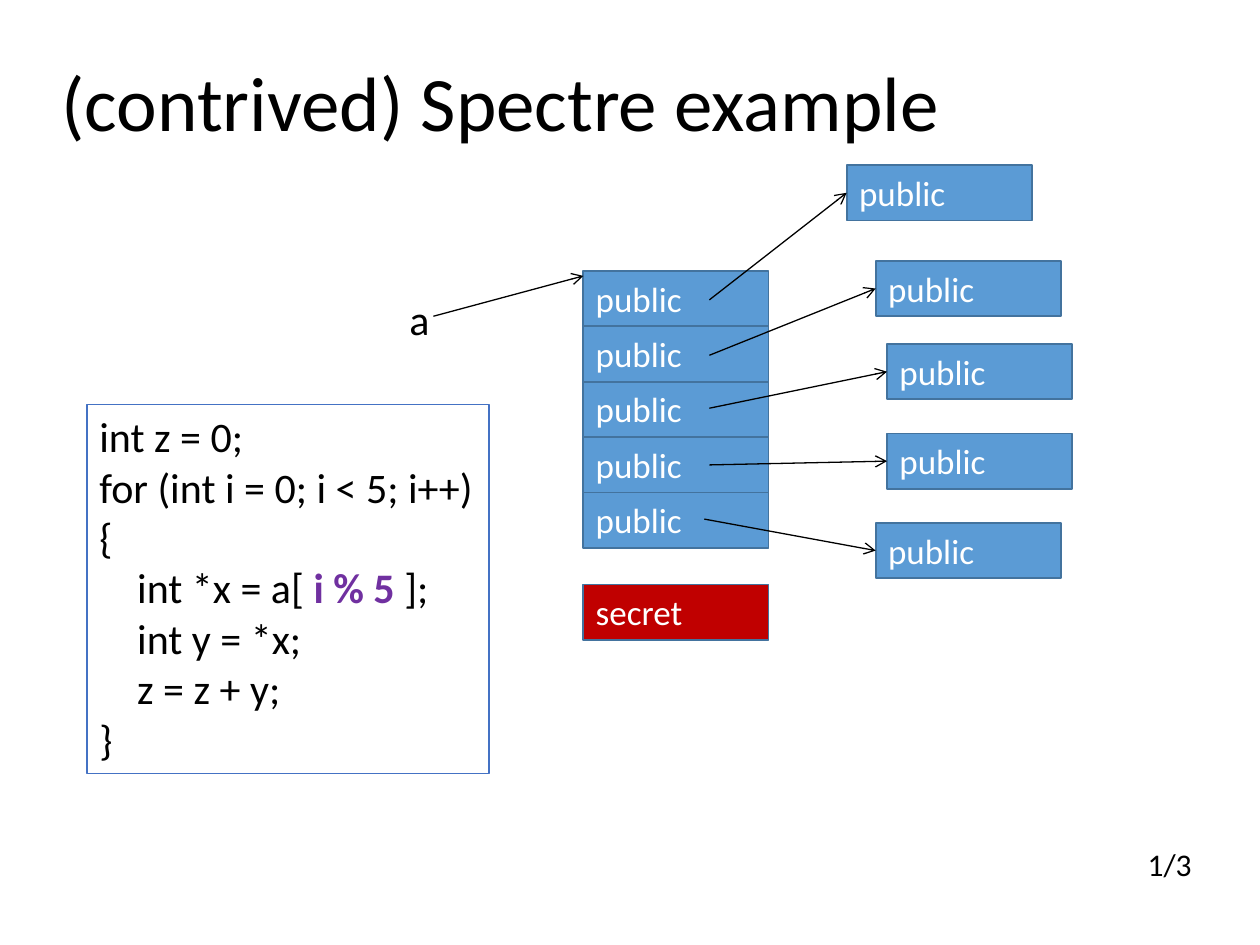
from dataclasses import dataclass

from lxml import etree
from pptx import Presentation
from pptx import util as u
from pptx.dml.color import RGBColor
from pptx.enum import shapes, text
from pptx.oxml.ns import qn


@dataclass(frozen=True)
class Theme:
    font: str = "Calibri"
    ink: str = "000000"
    paper: str = "FFFFFF"
    public: str = "5B9BD5"
    secret: str = "C00000"
    cell_line: str = "43739E"
    code_line: str = "4472C4"
    accent: str = "7030A0"
    title_size: int = 44
    code_size: int = 24
    cell_size: int = 20
    page_size: int = 18


THEME = Theme()

# Content: each paragraph is (indent level, runs); a run is (words, highlighted)
TITLE = "(contrived) Spectre example"
CODE = [
    (0, [("int z = 0;", False)]),
    (0, [("for (int i = 0; i < 5; i++)", False)]),
    (0, [("{", False)]),
    (1, [("int *x = a[ ", False), ("i % 5 ", True), ("];", False)]),
    (1, [("int y = *x;", False)]),
    (1, [("z = z + y;", False)]),
    (0, [("}", False)]),
]
POINTER = "a"
PAGE = "1/3"

# Each array entry: label, target label, target left and top, arrow start
ENTRIES = [
    ("public", "public", 6.72, 1.31, (5.63, 2.38)),
    ("public", "public", 6.95, 2.07, (5.63, 2.82)),
    ("public", "public", 7.04, 2.73, (5.63, 3.24)),
    ("public", "public", 7.04, 3.44, (5.63, 3.69)),
    ("public", "public", 6.95, 4.15, (5.59, 4.12)),
]
SECRET = "secret"

# Grid, in inches
SLIDE_WIDTH, SLIDE_HEIGHT = 10, 7.5
CELL_WIDTH, CELL_HEIGHT = 1.47, 0.44
ARRAY_LEFT, ARRAY_TOP = 4.63, 2.15
SECRET_TOP = 4.64
INDENT = 0.3


def color(value):
    return RGBColor.from_string(value)


def plain(words):
    return [(0, [(words, False)])]


def write(shape, paragraphs, size, ink=THEME.ink, wrap=True,
          anchor=text.MSO_ANCHOR.TOP, spacing=None):
    frame = shape.text_frame
    frame.word_wrap = wrap
    frame.vertical_anchor = anchor
    for index, (level, runs) in enumerate(paragraphs):
        paragraph = frame.paragraphs[0] if index == 0 else frame.add_paragraph()
        paragraph.alignment = text.PP_ALIGN.LEFT
        if spacing:
            paragraph.line_spacing = spacing
        if level:
            properties = paragraph._p.get_or_add_pPr()
            properties.set("marL", str(u.Inches(level * INDENT)))
            properties.set("indent", "0")
        for words, highlighted in runs:
            run = paragraph.add_run()
            run.text = words
            run.font.name = THEME.font
            run.font.size = u.Pt(size)
            run.font.bold = highlighted
            run.font.color.rgb = color(THEME.accent if highlighted else ink)


def add_label(slide, box, words, size, **options):
    shape = slide.shapes.add_textbox(*map(u.Inches, box))
    write(shape, plain(words), size, **options)


def add_box(slide, box, fill, line):
    shape = slide.shapes.add_shape(
        shapes.MSO_SHAPE.RECTANGLE, *map(u.Inches, box))
    shape.shadow.inherit = False
    shape.fill.solid()
    shape.fill.fore_color.rgb = color(fill)
    shape.line.color.rgb = color(line)
    shape.line.width = u.Pt(1)
    return shape


def add_cell(slide, left, top, label, fill=THEME.public):
    shape = add_box(slide, (left, top, CELL_WIDTH, CELL_HEIGHT),
                    fill, THEME.cell_line)
    write(shape, plain(label), THEME.cell_size, THEME.paper)


def add_arrow(slide, start, end):
    connector = slide.shapes.add_connector(
        shapes.MSO_CONNECTOR.STRAIGHT, *map(u.Inches, (*start, *end)))
    connector.line.color.rgb = color(THEME.ink)
    connector.line.width = u.Pt(0.75)
    line = connector.line._get_or_add_ln()
    etree.SubElement(line, qn("a:tailEnd"), type="arrow")
    etree.SubElement(connector._element.spPr, qn("a:effectLst"))


def main():
    presentation = Presentation()
    presentation.slide_width = u.Inches(SLIDE_WIDTH)
    presentation.slide_height = u.Inches(SLIDE_HEIGHT)
    slide = presentation.slides.add_slide(presentation.slide_layouts[6])

    # Title and code listing
    add_label(slide, (0.39, 0.12, 8.62, 1.45), TITLE, THEME.title_size,
              anchor=text.MSO_ANCHOR.MIDDLE, spacing=0.9)
    listing = add_box(slide, (0.69, 3.21, 3.19, 2.93),
                      THEME.paper, THEME.code_line)
    write(listing, CODE, THEME.code_size, wrap=False)

    # Array in memory, with the secret below it
    for row, (label, *_) in enumerate(ENTRIES):
        add_cell(slide, ARRAY_LEFT, ARRAY_TOP + row * CELL_HEIGHT, label)
    add_cell(slide, ARRAY_LEFT, SECRET_TOP, SECRET, THEME.secret)

    # Values that the entries point to
    for _, target, left, top, _ in ENTRIES:
        add_cell(slide, left, top, target)

    # Pointer to the array, then the arrows from entries to values
    add_label(slide, (3.15, 2.28, 0.36, 0.5), POINTER, THEME.code_size,
              wrap=False)
    add_arrow(slide, (3.44, 2.51), (ARRAY_LEFT, 2.19))
    for _, _, left, top, start in ENTRIES:
        add_arrow(slide, start, (left, top + CELL_HEIGHT / 2))

    # Page count
    add_label(slide, (9.01, 6.66, 0.56, 0.4), PAGE, THEME.page_size,
              wrap=False)

    presentation.save("out.pptx")


if __name__ == "__main__":
    main()
